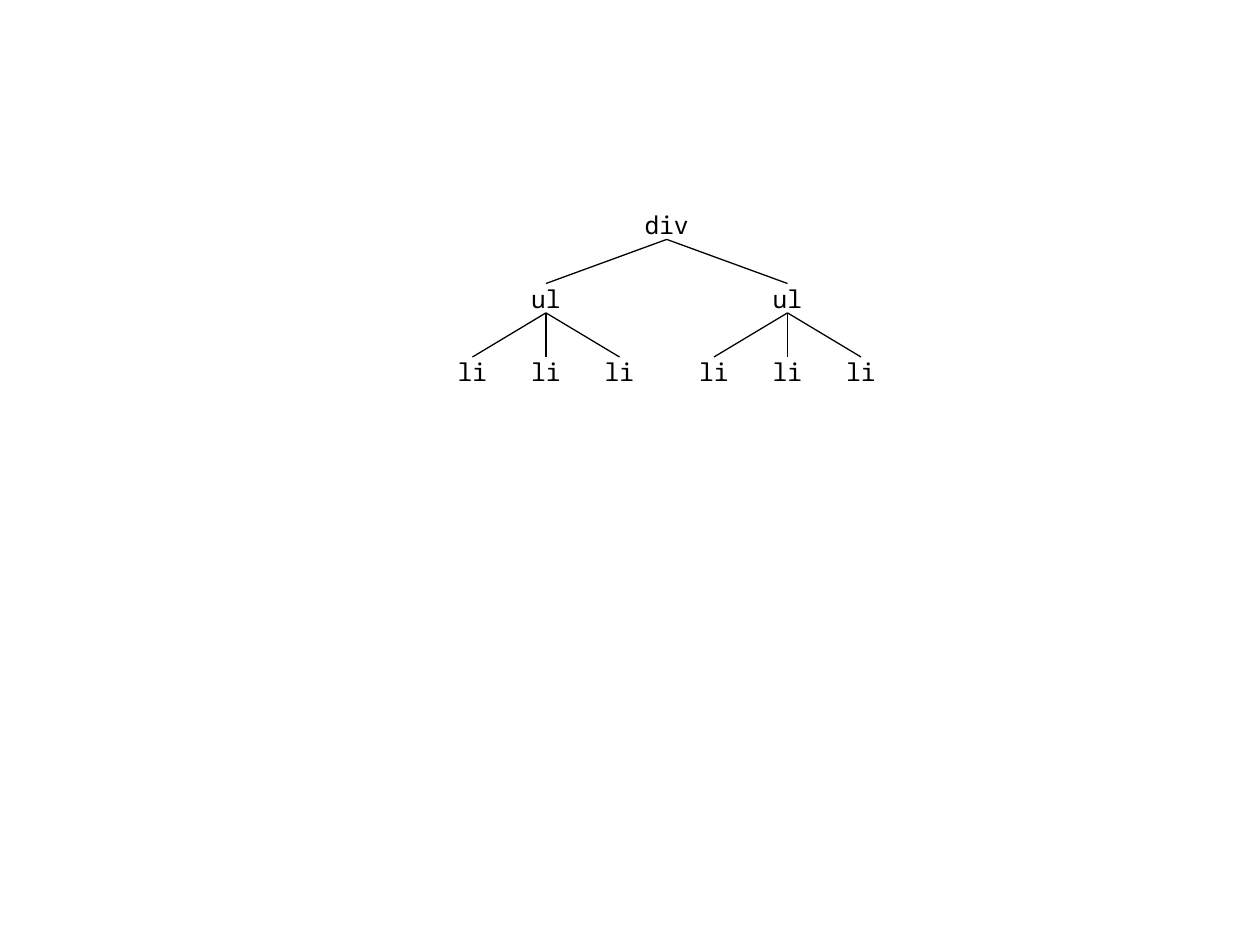
from pptx import Presentation
from pptx.dml.color import RGBColor
from pptx.enum.shapes import MSO_CONNECTOR as Link
from pptx.enum.text import MSO_ANCHOR as Anchor, MSO_AUTO_SIZE as Fit, PP_ALIGN as Align
from pptx.oxml.ns import qn
from pptx.util import Pt
from lxml.etree import SubElement

BLACK = RGBColor(0, 0, 0)
TOP, STEP, HIGH = 120, 42, 16.8


class Tree:
    """Draws a tree of tags, one row for each level."""

    frame = dict(margin_left=0, margin_right=0, margin_top=0, margin_bottom=0,
                 word_wrap=True, auto_size=Fit.NONE, vertical_anchor=Anchor.TOP)
    para = dict(alignment=Align.CENTER, space_before=Pt(8.8))
    font = dict(name="Noto Sans Mono", size=Pt(14))

    def __init__(self, slide):
        self.slide = slide

    def style(self, item, values):
        for name, value in values.items():
            setattr(item, name, value)

    def node(self, text, mid, row, wide=36):
        box = self.slide.shapes.add_textbox(
            Pt(mid - wide / 2), Pt(TOP + row * STEP), Pt(wide), Pt(HIGH))
        self.style(box.text_frame, self.frame)
        para = box.text_frame.paragraphs[0]
        self.style(para, self.para)
        run = para.add_run()
        run.text = text
        self.style(run.font, self.font)
        run.font.color.rgb = BLACK
        return box

    def edge(self, upper, lower):
        line = self.slide.shapes.add_connector(Link.STRAIGHT, 0, 0, 0, 0)
        line.begin_connect(upper, 2)
        line.end_connect(lower, 0)
        line.line.color.rgb = BLACK
        line.line.width = Pt(0.75)
        SubElement(line._element.spPr, qn("a:effectLst"))


def main():
    deck = Presentation()
    deck.slide_width, deck.slide_height = Pt(720), Pt(540)
    tree = Tree(deck.slides.add_slide(deck.slide_layouts[6]))
    mid = 381
    root = tree.node("div", mid, 0, 42)
    for side in (-69, 69):
        group = tree.node("ul", mid + side, 1)
        tree.edge(root, group)
        for shift in (-42, 0, 42):
            tree.edge(group, tree.node("li", mid + side + shift, 2))
    deck.save("out.pptx")


if __name__ == "__main__":
    main()
